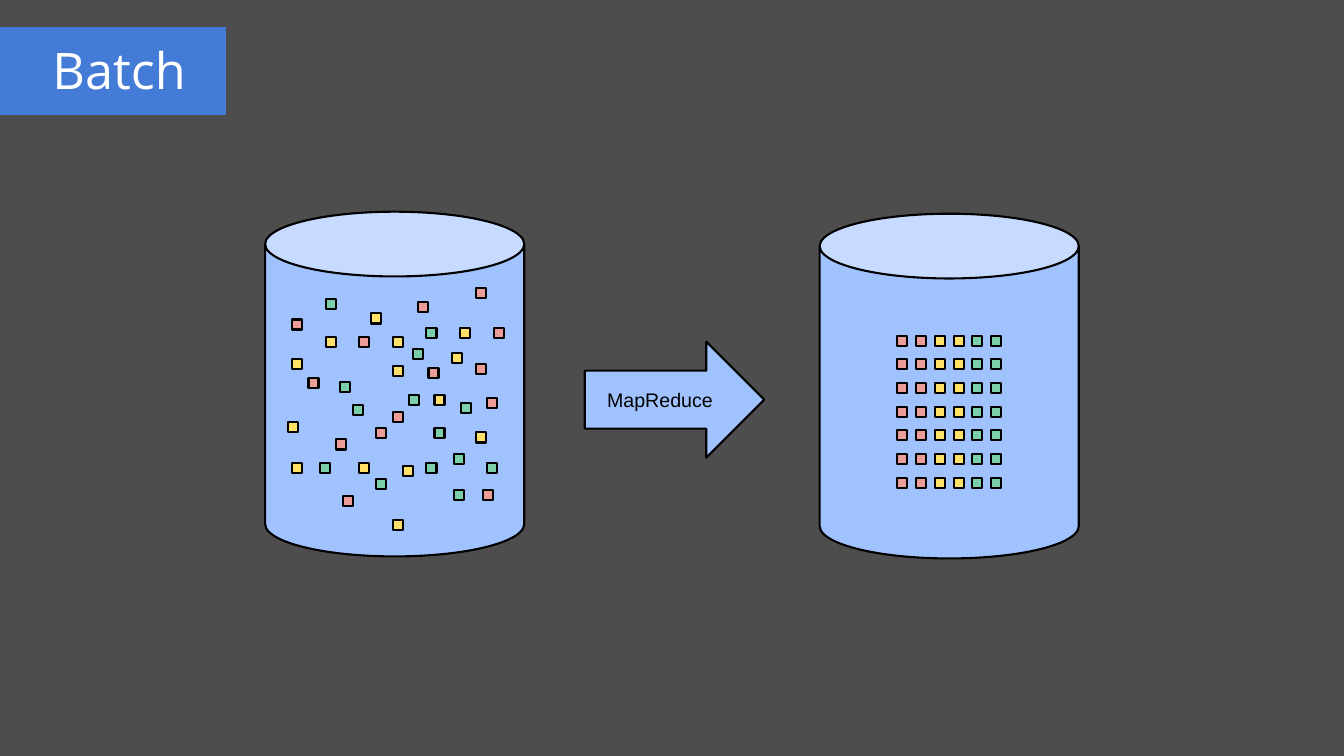
from lxml.etree import SubElement
from pptx import Presentation
from pptx.dml.color import RGBColor
from pptx.enum.shapes import MSO_SHAPE
from pptx.enum.text import MSO_ANCHOR, MSO_AUTO_SIZE, PP_ALIGN
from pptx.oxml.ns import qn
from pptx.util import Inches, Pt

GRAY, BLUE, LIGHT_BLUE = "4D4D4D", "4285F4", "A0C3FF"
RED, YELLOW, GREEN = "ED9D97", "FFE168", "7BCFA9"
BLACK, WHITE = "000000", "FFFFFF"

# Unsorted records: left and top of each tile, by colour
UNSORTED = {
    RED: [(4.15, 3), (3.33, 4.36), (3.4, 4.92), (3.9, 4.09), (4.79, 4.86),
          (4.83, 3.95), (4.9, 3.25), (2.9, 3.17), (3.06, 3.75), (3.56, 3.34),
          (3.73, 4.25), (4.25, 3.65), (4.72, 2.86), (4.72, 3.61)],
    YELLOW: [(3.68, 3.11), (4.72, 4.29), (3.9, 3.34), (4, 4.62), (4.31, 3.92),
             (4.56, 3.25), (3.9, 5.16), (3.23, 3.34), (2.86, 4.19), (2.9, 3.56),
             (3.56, 4.59), (3.9, 3.63), (4.48, 3.5), (2.9, 4.59)],
    GREEN: [(3.23, 2.97), (3.5, 4.02), (4.23, 3.25), (4.06, 3.92), (3.37, 3.79),
            (4.57, 4), (4.5, 4.5), (3.17, 4.59), (4.23, 4.59), (4.1, 3.46),
            (3.73, 4.75), (4.31, 4.25), (4.83, 4.59), (4.5, 4.86)],
}

# Sorted records: two columns per colour, seven rows
COLUMNS = [RED, RED, YELLOW, YELLOW, GREEN, GREEN]
ROWS = 7
GRID_LEFT, GRID_TOP = 8.9, 3.33
GRID_WIDTH, GRID_HEIGHT = 0.93, 1.41
COLUMN_STEP = GRID_WIDTH / (len(COLUMNS) - 1)
ROW_STEP = GRID_HEIGHT / (ROWS - 1)


def rgb(color):
    return RGBColor.from_string(color)


class SlideBuilder:
    """Holds the current slide and the shared style."""

    tile_size = 0.1
    line_width = 1.5

    def __init__(self, s):
        self.s = s

    def background(self, color):
        fill = self.s.background.fill
        fill.solid()
        fill.fore_color.rgb = rgb(color)

    def shape(self, kind, left, top, width, height, color, shapes=None, outlined=True):
        shapes = shapes or self.s.shapes
        sp = shapes.add_shape(kind, Inches(left), Inches(top), Inches(width), Inches(height))
        sp.shadow.inherit = False
        sp.fill.solid()
        sp.fill.fore_color.rgb = rgb(color)
        if outlined:
            sp.line.color.rgb = rgb(BLACK)
            sp.line.width = Pt(self.line_width)
        else:
            sp.line.fill.background()
        return sp

    def label(self, sp, text, font, size, color, align, inset):
        tf = sp.text_frame
        tf.text = text
        tf.word_wrap = True
        tf.auto_size = MSO_AUTO_SIZE.NONE
        tf.vertical_anchor = MSO_ANCHOR.MIDDLE
        tf.margin_left = tf.margin_right = Inches(0.1)
        tf.margin_top = tf.margin_bottom = Inches(inset)
        p = tf.paragraphs[0]
        p.alignment = align
        r = p.runs[0]
        r.font.name = font
        r.font.size = Pt(size)
        r.font.color.rgb = rgb(color)

    def title(self, text):
        bar = self.shape(MSO_SHAPE.RECTANGLE, 0, 0.27, 2.24, 0.87, BLUE, outlined=False)
        tint = bar.element.spPr.find(qn("a:solidFill"))[0]
        SubElement(tint, qn("a:alpha")).set("val", "83000")
        sp = self.s.shapes.title
        sp.left, sp.top = Inches(0.42), Inches(0.27)
        sp.width, sp.height = Inches(1.83), Inches(0.84)
        self.label(sp, text, "Open Sans", 36, WHITE, PP_ALIGN.LEFT, 0.05)
        # Bring the title in front of its bar
        sp.element.getparent().append(sp.element)

    def arrow(self, text):
        sp = self.shape(MSO_SHAPE.RIGHT_ARROW, 5.8, 3.39, 1.78, 1.15, LIGHT_BLUE)
        self.label(sp, text, "Arial", 14, BLACK, PP_ALIGN.CENTER, 0.1)

    def store(self, left, top, tiles):
        """A cylinder grouped with its (left, top, colour) tiles."""
        group = self.s.shapes.add_group_shape()
        self.shape(MSO_SHAPE.CAN, left, top, 2.57, 3.42, LIGHT_BLUE, group.shapes)
        for x, y, color in tiles:
            self.shape(MSO_SHAPE.RECTANGLE, x, y, self.tile_size, self.tile_size,
                       color, group.shapes)


def main():
    prs = Presentation()
    prs.slide_width, prs.slide_height = Inches(13.33), Inches(7.5)
    slide = SlideBuilder(prs.slides.add_slide(prs.slide_layouts[5]))

    # Background and title
    slide.background(GRAY)
    slide.title("Batch")

    # Processing step
    slide.arrow("MapReduce")

    # Sorted output
    slide.store(8.13, 2.12, [
        (GRID_LEFT + col * COLUMN_STEP, GRID_TOP + row * ROW_STEP, color)
        for row in range(ROWS) for col, color in enumerate(COLUMNS)])

    # Unsorted input
    slide.store(2.63, 2.1, [
        (x, y, color) for color, places in UNSORTED.items() for x, y in places])

    prs.save("out.pptx")


if __name__ == "__main__":
    main()
